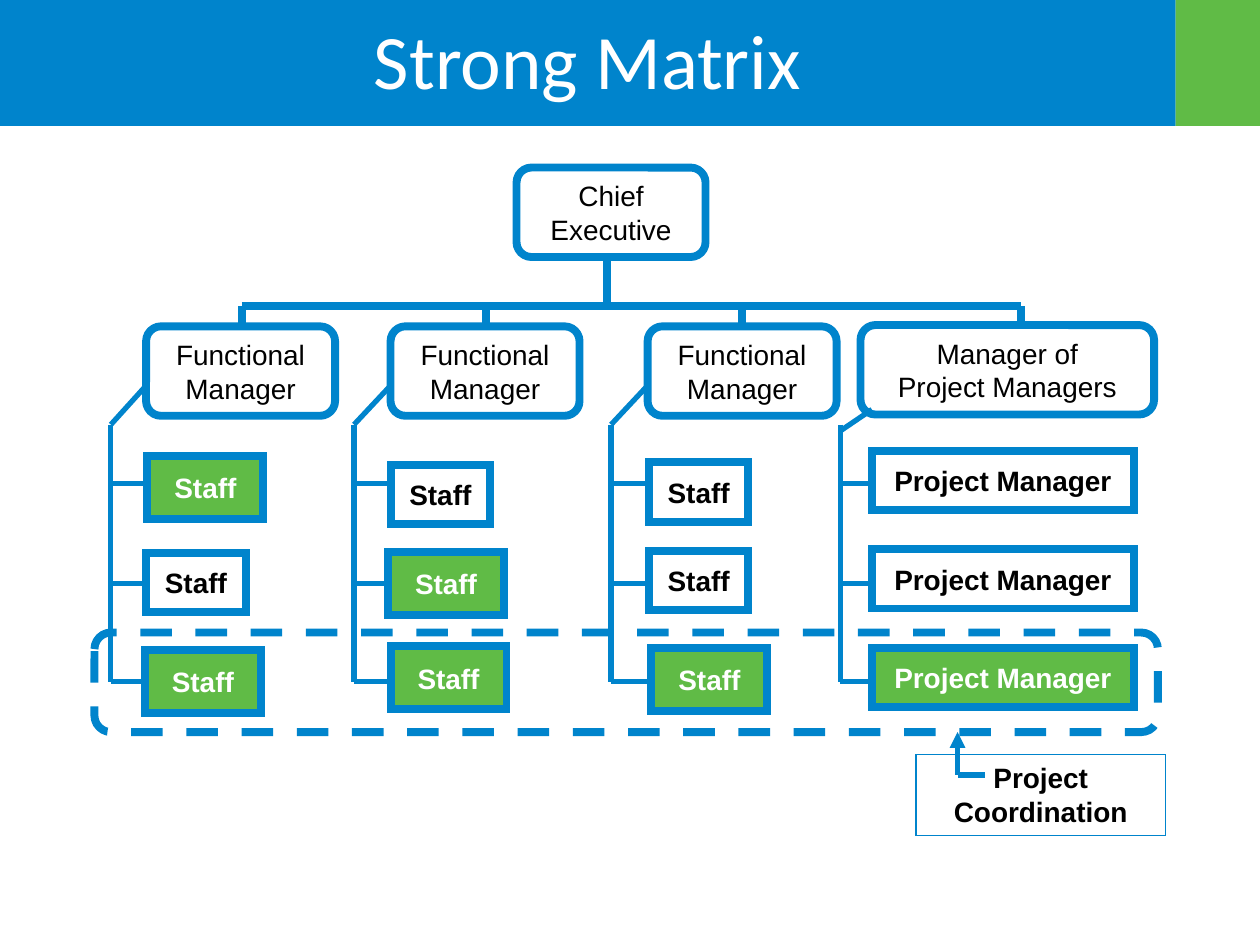
from lxml.etree import SubElement
from pptx import Presentation
from pptx.dml.color import RGBColor
from pptx.enum.dml import MSO_LINE
from pptx.enum.shapes import MSO_CONNECTOR, MSO_SHAPE
from pptx.enum.text import MSO_ANCHOR, MSO_AUTO_SIZE, PP_ALIGN
from pptx.oxml.ns import qn
from pptx.util import Inches, Pt

BLUE, GREEN, WHITE, BLACK = "0084CC", "60BB46", "FFFFFF", "000000"
RECT, ROUND = MSO_SHAPE.RECTANGLE, MSO_SHAPE.ROUNDED_RECTANGLE
rgb = RGBColor.from_string

prs = Presentation()
prs.slide_width, prs.slide_height = Inches(10), Inches(7.5)
s = prs.slides.add_slide(prs.slide_layouts[5])


def add_box(kind, x, y, w, h, text="", fill=None, line=4.5, bold=False):
    sp = s.shapes.add_shape(kind, Inches(x), Inches(y), Inches(w), Inches(h))
    sp.shadow.inherit = False
    if fill:
        sp.fill.solid()
        sp.fill.fore_color.rgb = rgb(fill)
    else:
        sp.fill.background()
    if line:
        sp.line.color.rgb = rgb(BLUE)
        sp.line.width = Pt(line)
        if kind == RECT:
            SubElement(sp.element.spPr.find(qn("a:ln")), qn("a:miter"), lim="800000")
    else:
        sp.line.fill.background()
    tf = sp.text_frame
    tf.word_wrap = False
    tf.vertical_anchor = MSO_ANCHOR.MIDDLE
    tf.text = text
    p = tf.paragraphs[0]
    p.alignment = PP_ALIGN.CENTER
    for r in p.runs:
        r.font.name, r.font.size, r.font.bold = "Arial", Pt(16), bold
        r.font.color.rgb = rgb(WHITE if fill else BLACK)
    return sp


def add_line(x1, y1, x2, y2, width=3):
    c = s.shapes.add_connector(MSO_CONNECTOR.STRAIGHT, Inches(x1), Inches(y1),
                               Inches(x2), Inches(y2))
    c.line.color.rgb = rgb(BLUE)
    c.line.width = Pt(width)
    SubElement(c.element.spPr, qn("a:effectLst"))
    return c


# Header bars, placed behind the title
title = s.shapes.title
for x, w, color in [(-0.01, 9.34, BLUE), (9.33, 0.67, GREEN)]:
    bar = add_box(RECT, x, 0, w, 1, fill=color, line=0)
    title.element.addprevious(bar.element)

# Title
title.left, title.top = Inches(0.08), Inches(0.03)
title.width, title.height = Inches(9.17), Inches(0.88)
tf = title.text_frame
tf.text = "Strong Matrix"
tf.vertical_anchor = MSO_ANCHOR.MIDDLE
p = tf.paragraphs[0]
p.alignment = PP_ALIGN.CENTER
r = p.runs[0]
r.font.name, r.font.size = "Calibri", Pt(44)
r.font.color.rgb = rgb(WHITE)

# Chief executive and the bar down to the managers
add_box(ROUND, 4.1, 1.33, 1.5, 0.71, "Chief\vExecutive")
add_line(4.82, 2.04, 4.82, 2.43, 4.5)
add_line(1.92, 2.43, 8.1, 2.43, 4.5)
for x in (1.92, 3.86, 5.89, 8.1):
    add_line(x, 2.43, x, 2.58, 4.5)

# Managers: left, top, width, text
managers = [
    (1.16, 2.59, 1.5, "Functional\vManager"),
    (3.1, 2.59, 1.5, "Functional\vManager"),
    (5.14, 2.59, 1.5, "Functional\vManager"),
    (6.83, 2.58, 2.33, "Manager of\vProject Managers"),
]
for x, y, w, text in managers:
    add_box(ROUND, x, y, w, 0.71, text)

# Trunk and branches: trunk x, branch end, link from the manager
trunks = [
    (0.88, 1.16, (1.16, 3.06), 3.37),
    (2.81, 3.1, (3.1, 3.06), 3.37),
    (4.85, 5.14, (5.14, 3.06), 3.37),
    (6.67, 6.95, (6.92, 3.25), 3.42),
]
for x, end, (link_x, link_y), link_end in trunks:
    add_line(link_x, link_y, x, link_end)
    add_line(x, 3.37, x, 5.41)
    for y in (3.84, 4.63, 5.41):
        add_line(x, y, end, y)

# Project coordination group and its label
group = add_box(ROUND, 0.75, 5.02, 8.44, 0.79)
group.line.dash_style = MSO_LINE.DASH
label = add_box(RECT, 7.27, 5.99, 1.98, 0.64, "Project Coordination", line=0.75, bold=True)
label.text_frame.word_wrap = True
label.text_frame.vertical_anchor = MSO_ANCHOR.TOP
label.text_frame.auto_size = MSO_AUTO_SIZE.SHAPE_TO_FIT_TEXT
arrow = add_line(7.6, 6.15, 7.6, 5.81)
SubElement(arrow.element.spPr.find(qn("a:ln")), qn("a:tailEnd"), type="triangle")
add_line(7.6, 6.15, 7.82, 6.15)

# Staff outside the project, then staff assigned to it
for x, y in [(1.16, 4.39), (3.1, 3.69), (5.15, 3.67), (5.15, 4.37)]:
    add_box(RECT, x, y, 0.79, 0.47, "Staff", bold=True)
for x, y in [(1.17, 3.62), (1.15, 5.16), (3.08, 4.38), (3.1, 5.13), (5.17, 5.14)]:
    add_box(RECT, x, y, 0.92, 0.5, "Staff", GREEN, bold=True)

# Project managers
for i, fill in enumerate([None, None, GREEN]):
    add_box(RECT, 6.92, 3.58 + 0.78 * i, 2.08, 0.47, "Project Manager", fill, bold=True)

prs.save("out.pptx")
